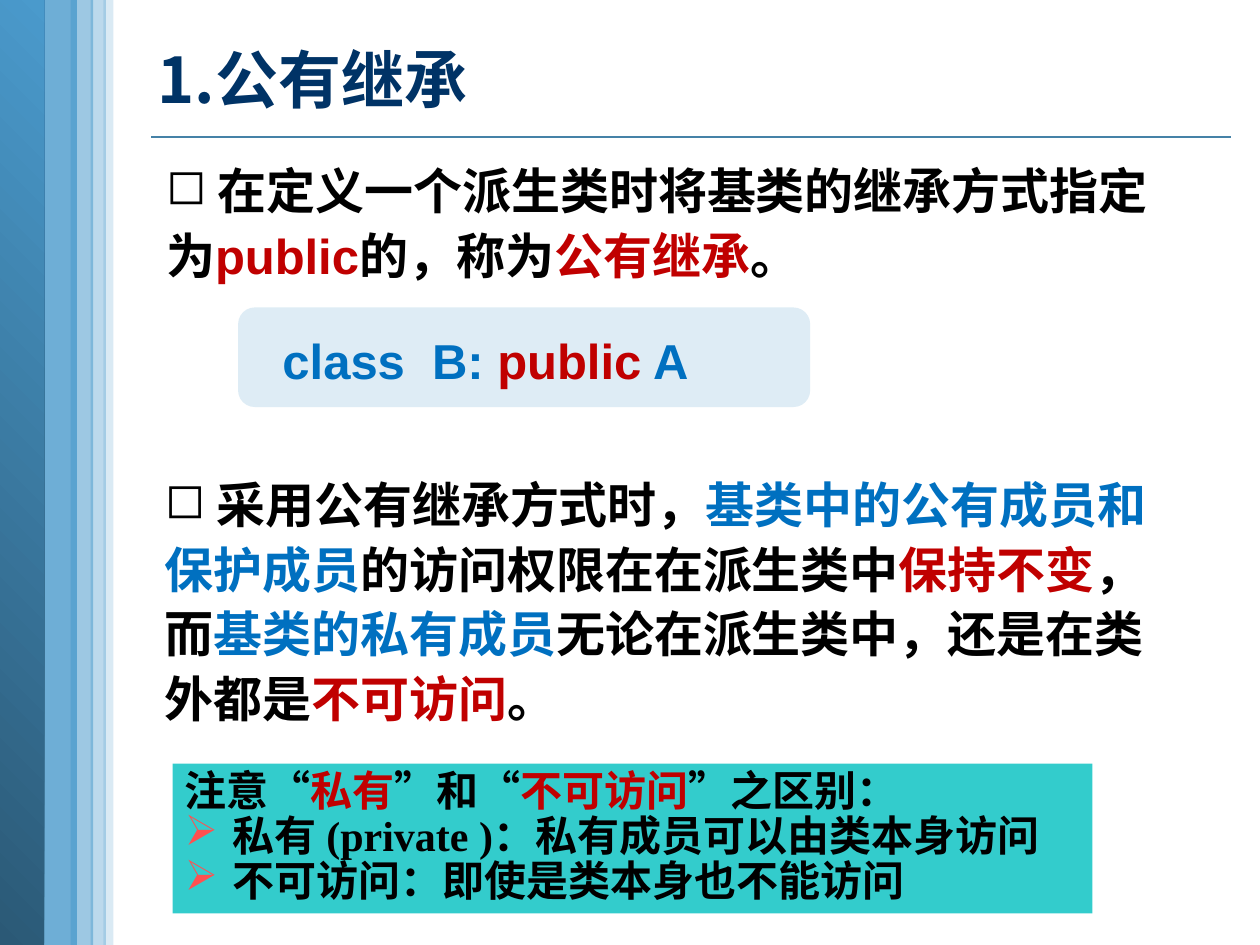
from lxml import etree
from pptx import Presentation
from pptx.dml.color import RGBColor
from pptx.enum.shapes import MSO_CONNECTOR, MSO_SHAPE
from pptx.enum.text import MSO_ANCHOR, PP_ALIGN
from pptx.oxml.ns import qn
from pptx.util import Inches, Pt

RECTANGLE, ROUNDED = MSO_SHAPE.RECTANGLE, MSO_SHAPE.ROUNDED_RECTANGLE
STRAIGHT = MSO_CONNECTOR.STRAIGHT
TOP, MIDDLE = MSO_ANCHOR.TOP, MSO_ANCHOR.MIDDLE
LEFT = PP_ALIGN.LEFT

WIDTH, HEIGHT = 10, 7.5
CHINESE_FONT = "Noto Sans CJK SC"
BLACK, RED, BLUE, NAVY = "000000", "C00000", "0070C0", "003366"
BAR_BLUE, BAR_DARK = "4A9ACC", "2B5976"

BARS = [
    (0.3, 0.31, 80),
    (0, 0.35, None),
    (0.82, 0.08, 20),
    (0.56, 0.18, 54),
    (0.72, 0.12, 37),
]
RULE = (1.2, 1.09, 9.77, 1.09)

TITLE = [[("1.公有继承", NAVY)]]
DEFINITION = [[
    (" 在定义一个派生类时将基类的继承方式指定为", BLACK), ("public", RED),
    ("的，称为", BLACK), ("公有继承", RED), ("。", BLACK),
]]
ACCESS = [[
    (" 采用公有继承方式时，", BLACK), ("基类中的公有成员和保护成员", BLUE),
    ("的访问权限在在派生类中", BLACK), ("保持不变", RED), ("，而", BLACK),
    ("基类的私有成员", BLUE), ("无论在派生类中，还是在类外都是", BLACK),
    ("不可访问", RED), ("。", BLACK),
]]
CODE = [[("  class  B: ", BLUE), ("public", RED), (" A", BLUE)]]
NOTE = [
    [("注意“", BLACK), ("私有", RED), ("”和“", BLACK),
     ("不可访问", RED), ("”之区别：", BLACK)],
    [("私有 (private )：私有成员可以由类本身访问", BLACK)],
    [("不可访问：即使是类本身也不能访问", BLACK)],
]

TITLE_FORMAT = {"name": CHINESE_FONT, "size": Pt(36), "bold": True}
BODY_FORMAT = {"name": "Arial", "size": Pt(28), "bold": True}
NOTE_FORMAT = {"name": "Times New Roman", "size": Pt(24), "bold": True}


def color(value):
    return RGBColor.from_string(value)


def box(left, top, width, height):
    return [Inches(value) for value in (left, top, width, height)]


def add_child(parent, tag, **attributes):
    return etree.SubElement(parent, qn(tag), attributes)


def add_block(slide, kind, place, fill, opacity=None):
    shape = slide.shapes.add_shape(kind, *box(*place))
    shape.shadow.inherit = False
    shape.line.fill.background()
    shape.fill.solid()
    shape.fill.fore_color.rgb = color(fill)
    if opacity is not None:
        tint = shape._element.spPr.find(qn("a:solidFill"))[0]
        add_child(tint, "a:alpha", val=str(opacity * 1000))
    return shape


def write(shape, paragraphs, format_values, spacing=1.0, anchor=TOP,
          indent=0, bullets=(), bullet_color=None):
    frame = shape.text_frame
    frame.word_wrap = True
    frame.vertical_anchor = anchor
    for index, runs in enumerate(paragraphs):
        paragraph = frame.add_paragraph() if index else frame.paragraphs[0]
        paragraph.alignment = LEFT
        paragraph.line_spacing = spacing
        paragraph.space_before = Pt(0)
        properties = paragraph._p.get_or_add_pPr()
        properties.set("marL", str(Inches(indent)))
        properties.set("indent", str(-Inches(indent)))
        bullet = bullets[index] if bullets else None
        if bullet:
            if bullet_color:
                holder = add_child(properties, "a:buClr")
                add_child(holder, "a:srgbClr", val=bullet_color)
            add_child(properties, "a:buChar", char=bullet)
        else:
            add_child(properties, "a:buNone")
        for text, run_color in runs:
            run = paragraph.add_run()
            run.text = text
            for name, value in format_values.items():
                setattr(run.font, name, value)
            run.font.color.rgb = color(run_color)
            latin = run._r.get_or_add_rPr().find(qn("a:latin"))
            east_asian = etree.Element(qn("a:ea"), typeface=CHINESE_FONT)
            latin.addnext(east_asian)


def add_frame(slide):
    rule = slide.shapes.add_connector(STRAIGHT, *box(*RULE))
    rule.line.color.rgb = color("4582A7")
    rule.line.width = Pt(1)
    add_child(rule._element.spPr, "a:effectLst")
    for left, width, opacity in BARS:
        bar = add_block(slide, RECTANGLE, (left, 0, width, HEIGHT), BAR_BLUE, opacity)
        if opacity is None:
            bar.fill.gradient()
            bar.fill.gradient_angle = 45
            for stop, value in zip(bar.fill.gradient_stops, (BAR_DARK, BAR_BLUE)):
                stop.color.rgb = color(value)


def main():
    presentation = Presentation()
    presentation.slide_width, presentation.slide_height = Inches(WIDTH), Inches(HEIGHT)
    slide = presentation.slides.add_slide(presentation.slide_layouts[5])
    add_frame(slide)

    title = slide.shapes.title
    title.left, title.top, title.width, title.height = box(1.15, 0.07, 8.7, 1.11)
    write(title, TITLE, TITLE_FORMAT, anchor=MIDDLE)

    for place, content in (
        ((1.22, 1.18, 8.21, 1.14), DEFINITION),
        ((1.21, 3.67, 8.21, 2.17), ACCESS),
    ):
        textbox = slide.shapes.add_textbox(*box(*place))
        write(textbox, content, BODY_FORMAT, spacing=1.1, bullets=["◻"])

    code = add_block(slide, ROUNDED, (1.89, 2.44, 4.54, 0.79), "92C2E0", 30)
    write(code, CODE, BODY_FORMAT, spacing=1.1, anchor=MIDDLE)

    note = add_block(slide, RECTANGLE, (1.37, 6.06, 7.3, 1.19), "33CCCC")
    write(note, NOTE, NOTE_FORMAT, spacing=0.9, indent=0.38,
          bullets=[None, "➢", "➢"], bullet_color="FF5050")

    presentation.save("out.pptx")


if __name__ == "__main__":
    main()
